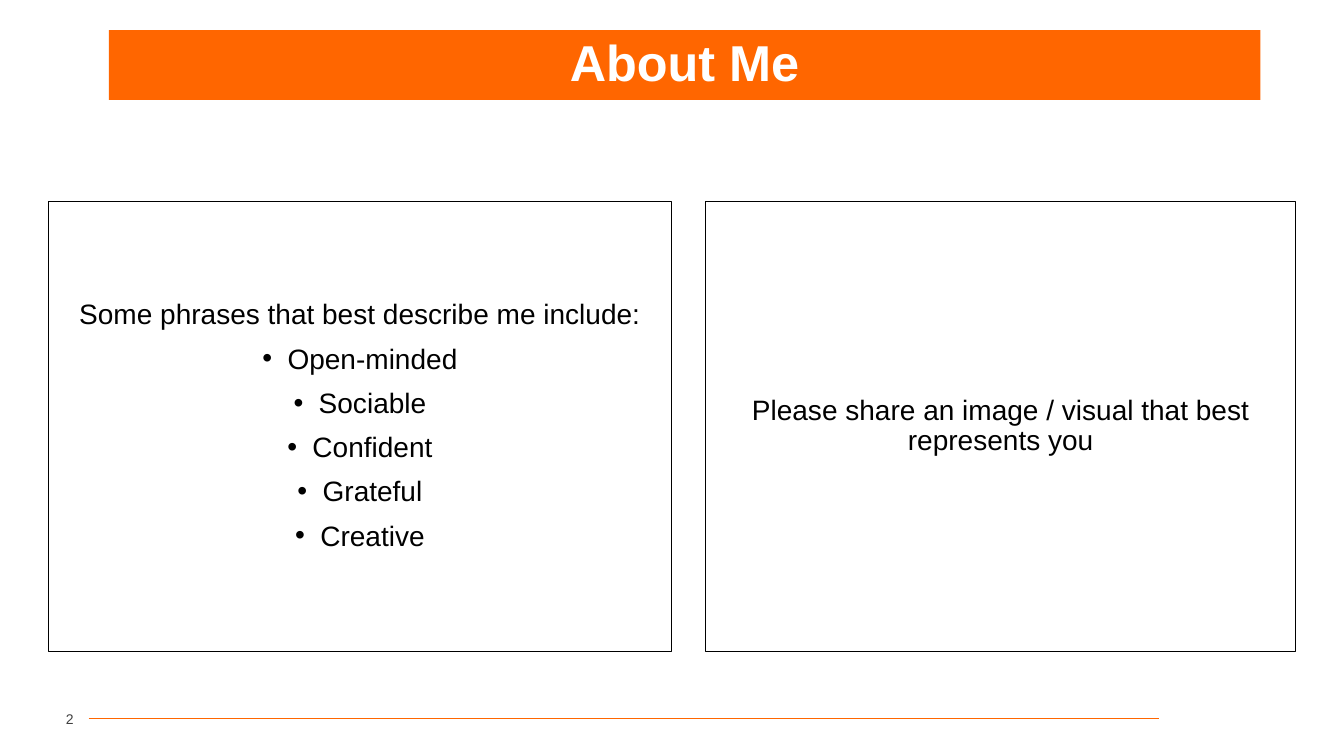
import dataclasses

import lxml.etree
import pptx
import pptx.dml.color
import pptx.enum.shapes
import pptx.enum.text
import pptx.oxml.ns
import pptx.util

ALIGN = pptx.enum.text.PP_ALIGN


@dataclasses.dataclass(frozen=True)
class Theme:
    font: str = "Arial"
    accent: str = "FF6600"
    title_text: str = "FFFFFF"
    ink: str = "000000"
    muted: str = "404040"
    title_size: int = 36
    body_size: int = 20
    number_size: int = 10
    line_spacing: float = 0.9
    space_before: int = 10
    border_width: float = 0.75
    rule_width: float = 0.5


def px(value):
    return pptx.util.Emu(value * 9144)


def rgb(value):
    return pptx.dml.color.RGBColor.from_string(value)


class SlideBuilder:
    def __init__(self, presentation, theme):
        self.theme = theme
        self.slide = presentation.slides.add_slide(presentation.slide_layouts[5])

    def format_frame(self, frame, size, color, align, bold=False):
        frame.word_wrap = True
        frame.auto_size = pptx.enum.text.MSO_AUTO_SIZE.NONE
        frame.vertical_anchor = pptx.enum.text.MSO_ANCHOR.MIDDLE
        for paragraph in frame.paragraphs:
            paragraph.alignment = align
            for run in paragraph.runs:
                run.font.name = self.theme.font
                run.font.size = pptx.util.Pt(size)
                run.font.bold = bold
                run.font.color.rgb = rgb(color)

    def add_bullet(self, paragraph):
        properties = paragraph._p.get_or_add_pPr()
        properties.set("marL", str(px(25)))
        properties.set("indent", str(px(-25)))
        for tag, name, value in (("a:buFont", "typeface", self.theme.font), ("a:buChar", "char", "•")):
            lxml.etree.SubElement(properties, pptx.oxml.ns.qn(tag)).set(name, value)

    def add_title(self, text, left, top, width, height):
        title = self.slide.shapes.title
        title.left, title.top, title.width, title.height = map(px, (left, top, width, height))
        title.fill.solid()
        title.fill.fore_color.rgb = rgb(self.theme.accent)
        title.text_frame.text = text
        title.text_frame.paragraphs[0].line_spacing = self.theme.line_spacing
        self.format_frame(title.text_frame, self.theme.title_size, self.theme.title_text, ALIGN.CENTER, True)

    def add_panel(self, heading, bullets, left, top, width, height):
        panel = self.slide.shapes.add_shape(
            pptx.enum.shapes.MSO_SHAPE.RECTANGLE, *map(px, (left, top, width, height)))
        panel.shadow.inherit = False
        panel.fill.background()
        panel.line.color.rgb = rgb(self.theme.ink)
        panel.line.width = pptx.util.Pt(self.theme.border_width)
        panel.text_frame.text = "\n".join([heading, *bullets])
        self.format_frame(panel.text_frame, self.theme.body_size, self.theme.ink, ALIGN.CENTER)
        for index, paragraph in enumerate(panel.text_frame.paragraphs):
            paragraph.line_spacing = self.theme.line_spacing
            paragraph.space_before = pptx.util.Pt(self.theme.space_before)
            if index > 0:
                self.add_bullet(paragraph)

    def add_number(self, text, left, top, width, height):
        number = self.slide.shapes.add_textbox(*map(px, (left, top, width, height)))
        frame = number.text_frame
        frame.text = text
        frame.margin_left = frame.margin_right = 0
        self.format_frame(frame, self.theme.number_size, self.theme.muted, ALIGN.RIGHT)

    def add_rule(self, left, right, y):
        rule = self.slide.shapes.add_connector(
            pptx.enum.shapes.MSO_CONNECTOR.STRAIGHT, *map(px, (left, y, right, y)))
        rule.line.color.rgb = rgb(self.theme.accent)
        rule.line.width = pptx.util.Pt(self.theme.rule_width)
        lxml.etree.SubElement(rule._element.spPr, pptx.oxml.ns.qn("a:effectLst"))


def main():
    presentation = pptx.Presentation()
    presentation.slide_width, presentation.slide_height = px(1333), px(750)
    builder = SlideBuilder(presentation, Theme())
    builder.add_rule(88, 1150, 713)
    builder.add_title("About Me", 108, 30, 1142, 69)
    builder.add_number("2", 33, 699, 40, 29)
    traits = ["Open-minded", "Sociable", "Confident", "Grateful", "Creative"]
    panel_top, panel_height = 200, 446
    builder.add_panel("Some phrases that best describe me include:", traits, 48, panel_top, 618, panel_height)
    builder.add_panel("Please share an image / visual that best represents you", [],
                      700, panel_top, 585, panel_height)
    presentation.save("out.pptx")


if __name__ == "__main__":
    main()
